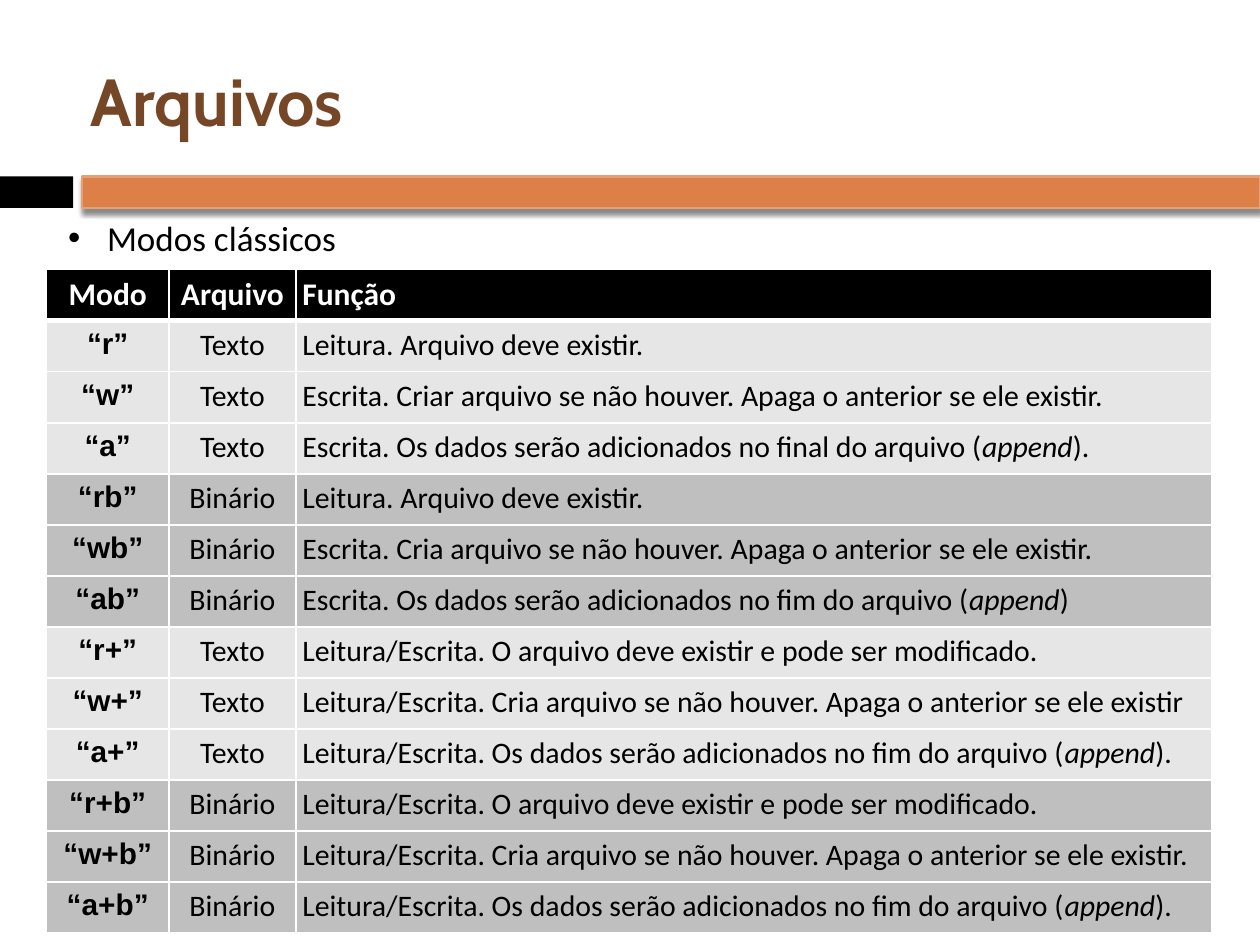
from lxml import etree
from pptx import Presentation
from pptx import util as u
from pptx.dml.color import RGBColor
from pptx.enum import shapes, text
from pptx.oxml.ns import qn

COLORS = {"black": "000000", "white": "FFFFFF", "orange": "DD8047", "edge": "E5A075",
          "brown": "754726", "Texto": "E7E6E6", "Binário": "BFBFBF"}
TITLE = "Arquivos"
TOPIC = "Modos clássicos"
ITALIC_WORD = "append"
HEADER = ("Modo", "Arquivo", "Função")
MODES = [
    ("“r”", "Texto", "Leitura. Arquivo deve existir."),
    ("“w”", "Texto", "Escrita. Criar arquivo se não houver. Apaga o anterior se ele existir."),
    ("“a”", "Texto", "Escrita. Os dados serão adicionados no final do arquivo (append)."),
    ("“rb”", "Binário", "Leitura. Arquivo deve existir."),
    ("“wb”", "Binário", "Escrita. Cria arquivo se não houver. Apaga o anterior se ele existir."),
    ("“ab”", "Binário", "Escrita. Os dados serão adicionados no fim do arquivo (append)"),
    ("“r+”", "Texto", "Leitura/Escrita. O arquivo deve existir e pode ser modificado."),
    ("“w+”", "Texto", "Leitura/Escrita. Cria arquivo se não houver. Apaga o anterior se ele existir"),
    ("“a+”", "Texto", "Leitura/Escrita. Os dados serão adicionados no fim do arquivo (append)."),
    ("“r+b”", "Binário", "Leitura/Escrita. O arquivo deve existir e pode ser modificado."),
    ("“w+b”", "Binário", "Leitura/Escrita. Cria arquivo se não houver. Apaga o anterior se ele existir."),
    ("“a+b”", "Binário", "Leitura/Escrita. Os dados serão adicionados no fim do arquivo (append)."),
]
COLUMN_WIDTHS = (0.97, 1.01, 7.27)
TABLE_HEIGHT = 5.27
INSET = u.Inches(0.05)


def rgb(name):
    return RGBColor.from_string(COLORS[name])


def add_run(paragraph, words, size, font, color, bold=False, italic=False):
    run = paragraph.add_run()
    run.text = words
    run.font.size = u.Pt(size)
    run.font.name = font
    run.font.color.rgb = rgb(color)
    run.font.bold = bold
    run.font.italic = italic


def add_bar(slide, left, width, color):
    bar = slide.shapes.add_shape(shapes.MSO_SHAPE.RECTANGLE, u.Inches(left), u.Inches(1.4),
                                 u.Inches(width), u.Inches(0.25))
    bar.shadow.inherit = False
    bar.fill.solid()
    bar.fill.fore_color.rgb = rgb(color)
    bar.line.fill.background()
    return bar


def add_shadow(shape):
    effects = shape._element.spPr.find(qn("a:effectLst"))
    shadow = etree.SubElement(effects, qn("a:outerShdw"), blurRad=str(u.Pt(3)),
                              dist=str(u.Pt(2.4)), dir="5400000", rotWithShape="0")
    color = etree.SubElement(shadow, qn("a:srgbClr"), val=COLORS["black"])
    etree.SubElement(color, qn("a:alpha"), val="45000")


def add_text_frame(slide, left, top, width, height, wrap):
    frame = slide.shapes.add_textbox(*map(u.Inches, (left, top, width, height))).text_frame
    frame.word_wrap = wrap
    frame.margin_left = frame.margin_right = frame.margin_top = frame.margin_bottom = INSET
    return frame


def add_borders(cell, row):
    heavy = {0: "lnB", 1: "lnT"}.get(row)
    for side in ("lnL", "lnR", "lnT", "lnB"):
        line = etree.SubElement(cell._tc.get_or_add_tcPr(), qn("a:" + side),
                                w=str(u.Pt(3 if side == heavy else 1)))
        fill = etree.SubElement(line, qn("a:solidFill"))
        etree.SubElement(fill, qn("a:srgbClr"), val=COLORS["white"])


def fill_cell(cell, row, column, words, kind):
    add_borders(cell, row)
    cell.fill.solid()
    cell.fill.fore_color.rgb = rgb("black" if row == 0 else kind)
    cell.margin_left = cell.margin_right = cell.margin_top = cell.margin_bottom = INSET
    paragraph = cell.text_frame.paragraphs[0]
    paragraph.alignment = text.PP_ALIGN.LEFT if column == 2 else text.PP_ALIGN.CENTER
    if row == 0:
        add_run(paragraph, words, 18, "Calibri", "white", bold=True)
    elif column == 0:
        add_run(paragraph, words, 17, "Arial", "black", bold=True)
    else:
        for part in filter(None, words.partition(ITALIC_WORD)):
            add_run(paragraph, part, 17, "Calibri", "black", italic=part == ITALIC_WORD)


def add_modes_table(slide):
    rows = [HEADER] + MODES
    table = slide.shapes.add_table(len(rows), len(HEADER), u.Inches(0.37), u.Inches(2.14),
                                   u.Inches(sum(COLUMN_WIDTHS)), u.Inches(TABLE_HEIGHT)).table
    for column, width in zip(table.columns, COLUMN_WIDTHS):
        column.width = u.Inches(width)
    for r, row in enumerate(rows):
        table.rows[r].height = u.Inches(TABLE_HEIGHT / len(rows))
        for c, words in enumerate(row):
            fill_cell(table.cell(r, c), r, c, words, row[1])


def main():
    deck = Presentation()
    deck.slide_width, deck.slide_height = u.Inches(10), u.Inches(7.5)
    slide = deck.slides.add_slide(deck.slide_layouts[6])

    add_bar(slide, 0, 0.58, "black")
    accent = add_bar(slide, 0.65, 9.35, "orange")
    accent.line.color.rgb = rgb("edge")
    accent.line.width = u.Pt(1.5)
    add_shadow(accent)

    title = add_text_frame(slide, 0.67, 0.25, 8.92, 1.08, True)
    title.vertical_anchor = text.MSO_ANCHOR.MIDDLE
    add_run(title.paragraphs[0], TITLE, 38, "Cabin", "brown", bold=True)

    add_modes_table(slide)

    topic = add_text_frame(slide, 0.49, 1.67, 2.24, 0.37, False)
    topic.auto_size = text.MSO_AUTO_SIZE.SHAPE_TO_FIT_TEXT
    paragraph = topic.paragraphs[0]
    properties = paragraph._p.get_or_add_pPr()
    properties.set("marL", str(u.Inches(0.31)))
    properties.set("indent", str(u.Inches(-0.31)))
    etree.SubElement(properties, qn("a:buFont"), typeface="Arial")
    etree.SubElement(properties, qn("a:buChar"), char="•")
    add_run(paragraph, TOPIC, 20, "Calibri", "black")

    deck.save("out.pptx")


if __name__ == "__main__":
    main()
